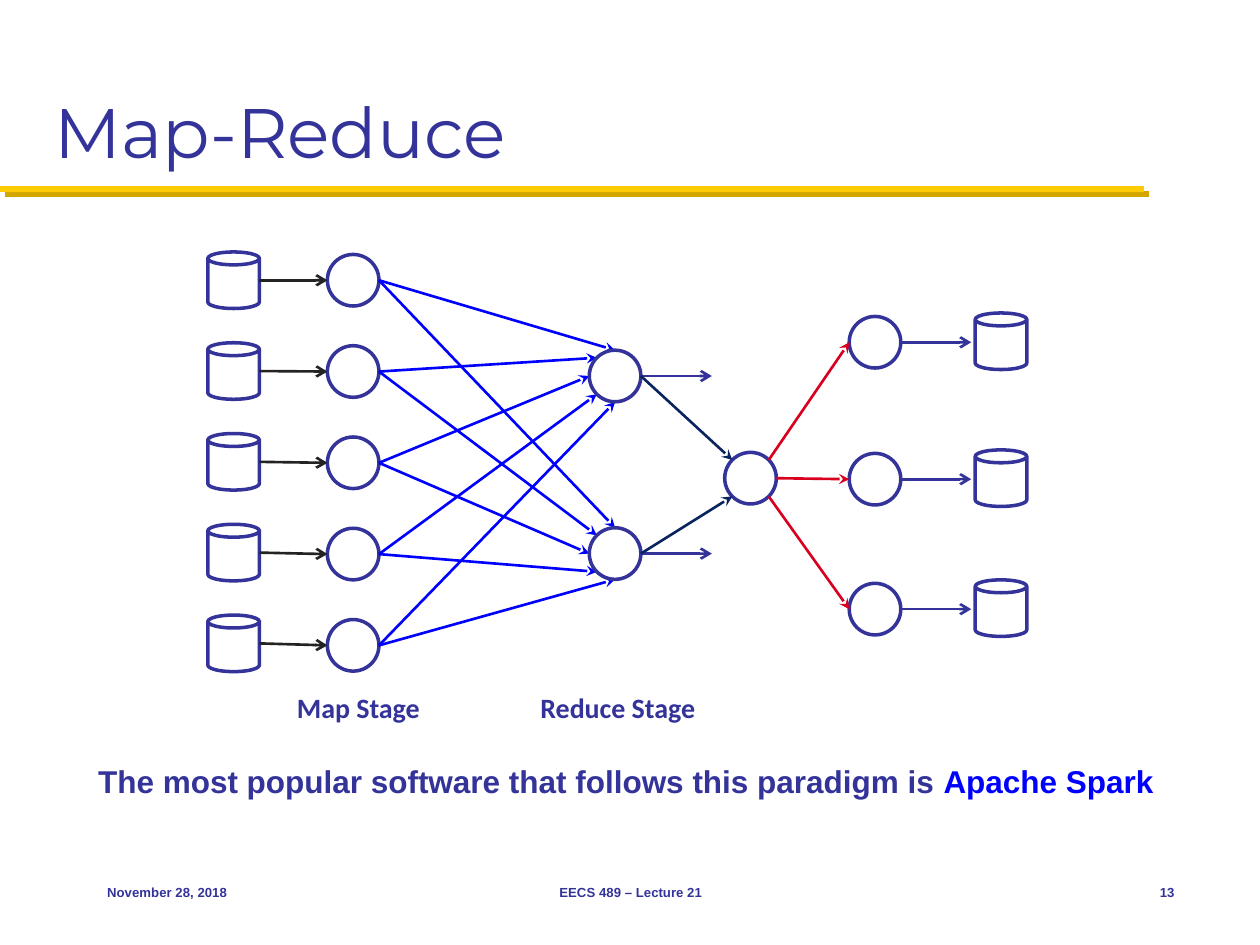
from math import cos, radians, sin

from pptx import Presentation
from pptx.dml.color import RGBColor
from pptx.enum.shapes import MSO_CONNECTOR, MSO_SHAPE
from pptx.enum.text import MSO_ANCHOR, MSO_AUTO_SIZE, PP_ALIGN
from pptx.oxml.ns import qn
from pptx.util import Cm, Pt
from lxml import etree

STRAIGHT = MSO_CONNECTOR.STRAIGHT
OVAL, CAN = MSO_SHAPE.OVAL, MSO_SHAPE.CAN
TOP, MIDDLE, BOTTOM = MSO_ANCHOR.TOP, MSO_ANCHOR.MIDDLE, MSO_ANCHOR.BOTTOM
LEFT, CENTER, RIGHT = PP_ALIGN.LEFT, PP_ALIGN.CENTER, PP_ALIGN.RIGHT
NO_FIT = MSO_AUTO_SIZE.NONE

NAVY, BLUE, BLACK = "333399", "0000FF", "232323"
DARK, RED, GOLD, SHADE = "09245F", "D9001F", "FFCB05", "D3A600"
SIZE, CAN_H = 1.04, 1.14
R = SIZE / 2


def rgb(value):
    """Return the colour of a hex string."""
    return RGBColor.from_string(value)


def port(center, angle):
    """Return the point of a node's circle at an angle, clockwise from the right."""
    a = radians(angle)
    return center[0] + R * cos(a), center[1] + R * sin(a)


def add_node(slide, center, kind=OVAL):
    """Add an outlined circle or can around a centre."""
    h = CAN_H if kind == CAN else SIZE
    sp = slide.shapes.add_shape(kind, Cm(center[0] - R), Cm(center[1] - h / 2),
                                Cm(SIZE), Cm(h))
    sp.shadow.inherit = False
    sp.fill.background()
    sp.line.color.rgb = rgb(NAVY)
    sp.line.width = Pt(2)


def add_line(slide, start, end, color, head=None, width=1.5):
    """Add a straight line with an optional arrowhead and return its effect list."""
    cxn = slide.shapes.add_connector(STRAIGHT, Cm(start[0]), Cm(start[1]),
                                     Cm(end[0]), Cm(end[1]))
    cxn.line.color.rgb = rgb(color)
    cxn.line.width = Pt(width)
    if head:
        etree.SubElement(cxn.line._get_or_add_ln(), qn("a:tailEnd"), type=head)
    return etree.SubElement(cxn._element.spPr, qn("a:effectLst"))


def add_rule(slide):
    """Add the golden title rule with its hard shadow."""
    effects = add_line(slide, (0, 3.81), (23.06, 3.81), GOLD, width=3.5)
    shadow = etree.SubElement(effects, qn("a:outerShdw"), dist=str(Pt(4.2)),
                              dir="2700000", algn="ctr", rotWithShape="0")
    etree.SubElement(shadow, qn("a:srgbClr"), val=SHADE)


def write(sp, runs, size, font, bold=True, align=LEFT, anchor=TOP):
    """Write coloured runs into the first paragraph of a shape."""
    tf = sp.text_frame
    tf.word_wrap = True
    tf.auto_size = NO_FIT
    tf.vertical_anchor = anchor
    p = tf.paragraphs[0]
    p.alignment = align
    for text, color in runs:
        r = p.add_run()
        r.text = text
        r.font.name = font
        r.font.size = Pt(size)
        r.font.bold = bold
        r.font.color.rgb = rgb(color)


def add_text(slide, box, runs, size, font, **layout):
    """Add a text box."""
    sp = slide.shapes.add_textbox(*map(Cm, box))
    write(sp, runs, size, font, **layout)


def add_title(slide, text):
    """Place and fill the title placeholder."""
    sp = slide.shapes.title
    sp.left, sp.top, sp.width, sp.height = Cm(0.84), Cm(0.43), Cm(23.7), Cm(3.18)
    write(sp, [(text, NAVY)], 40, "Montserrat", bold=False, anchor=BOTTOM)


def add_diagram(slide):
    """Draw the data flow from the input stores to the output stores."""
    mappers = [(7.12, 5.65 + 1.84 * i) for i in range(5)]
    reducers = [(12.4, 7.58), (12.4, 11.16)]
    hub = (15.13, 9.64)
    outputs = [(17.64, y) for y in (6.9, 9.66, 12.28)]

    for i, mapper in enumerate(mappers):
        store = (4.71, 5.65 + 1.83 * i)
        add_node(slide, store, CAN)
        add_node(slide, mapper)
        add_line(slide, port(store, 0), port(mapper, 180), BLACK, "arrow")
        for reducer in reducers:
            add_line(slide, port(mapper, 0), port(reducer, 270 - 45 * i),
                     BLUE, "stealth")

    add_node(slide, hub)
    for reducer, angle in zip(reducers, (225, 135)):
        add_node(slide, reducer)
        start = port(reducer, 0)
        add_line(slide, start, (14.35, start[1]), NAVY, "arrow")
        add_line(slide, start, port(hub, angle), DARK, "stealth")

    for output, angle in zip(outputs, (315, 0, 45)):
        add_node(slide, output)
        add_node(slide, (20.18, output[1] - 0.02), CAN)
        add_line(slide, port(hub, angle), port(output, 180), RED, "stealth")
        add_line(slide, port(output, 0), (19.58, output[1]), NAVY, "arrow")


def main():
    """Build the slide and save it."""
    prs = Presentation()
    prs.slide_width, prs.slide_height = Cm(25.4), Cm(19.05)
    slide = prs.slides.add_slide(prs.slide_layouts[5])
    add_rule(slide)
    add_title(slide, "Map-Reduce")
    add_diagram(slide)
    for text, left, width in (("Map Stage", 5.46, 3.53),
                              ("Reduce Stage", 10.26, 4.39)):
        add_text(slide, (left, 13.79, width, 0.94), [(text, NAVY)], 16,
                 "Calibri", align=CENTER)
    add_text(slide, (1.73, 15.24, 22, 1.02),
             [("The most popular software that follows this paradigm is ", NAVY),
              ("Apache Spark", BLUE)], 18, "Arial")
    for text, left, width, align in (("November 28, 2018", 1.91, 5.28, LEFT),
                                     ("EECS 489 – Lecture 21", 8.69, 8.05, CENTER),
                                     ("13", 22.23, 1.7, RIGHT)):
        add_text(slide, (left, 17.35, width, 1.27), [(text, NAVY)], 7.5,
                 "Arial", align=align, anchor=MIDDLE)
    prs.save("out.pptx")


if __name__ == "__main__":
    main()
